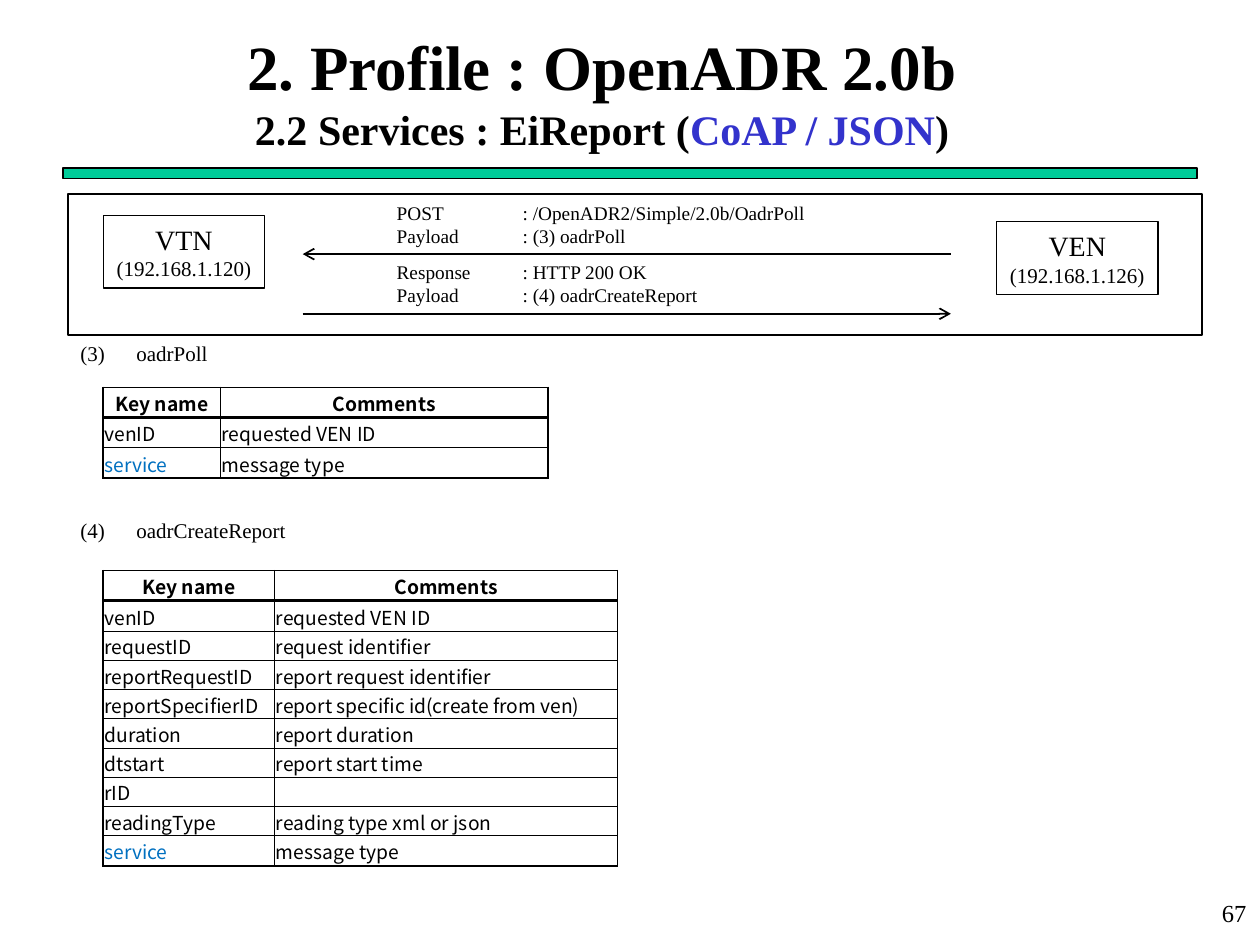
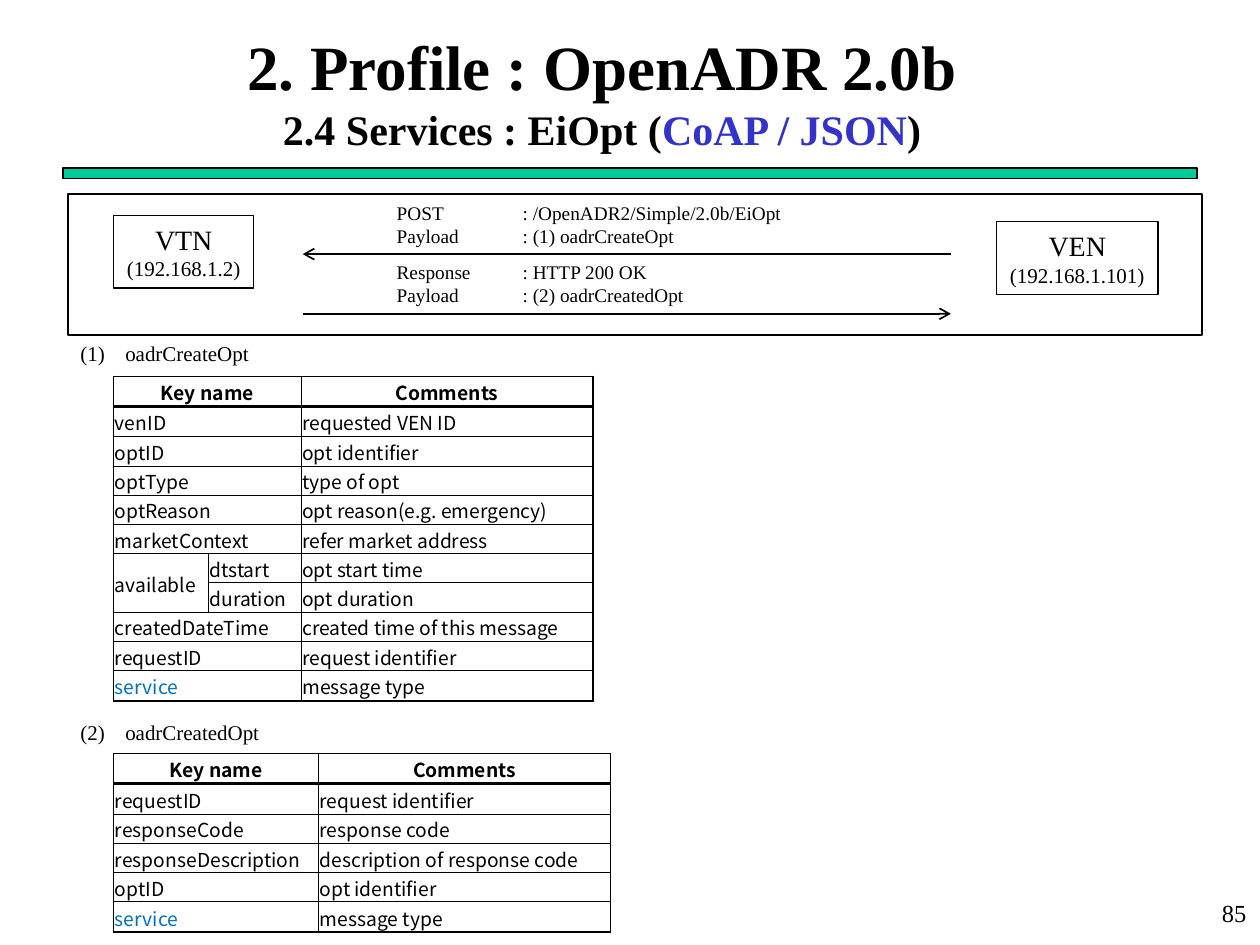
"""Build two OpenADR service slides with message flows and key tables."""
from lxml import etree
from pptx import Presentation
from pptx import util as u
from pptx.dml.color import RGBColor
from pptx.enum import shapes, text
from pptx.oxml import ns

Pt = u.Pt
BLACK = RGBColor(0x00, 0x00, 0x00)
WHITE = RGBColor(0xFF, 0xFF, 0xFF)
GREEN = RGBColor(0x00, 0xCC, 0x99)
VIOLET = RGBColor(0x33, 0x33, 0xCC)
BLUE = RGBColor(0x00, 0x70, 0xC0)
SERIF = "Times New Roman"
SANS = "Noto Sans CJK KR"
CENTER = text.PP_ALIGN.CENTER
HEADER = ("Key name", "Comments")
SERVICE = ("service", "message type")

SLIDES = [
    {
        "number": "67",
        "service": "2.2 Services : EiReport (",
        "hosts": [("VEN", "(192.168.1.126)", 569.5, 126.7, 92.2),
                  ("VTN", "(192.168.1.120)", 59, 123.1, 92.2)],
        "messages": [("POST\t: /OpenADR2/Simple/2.0b/OadrPoll",
                      "Payload\t: (3) oadrPoll"),
                     ("Response\t: HTTP 200 OK",
                      "Payload\t: (4) oadrCreateReport")],
        "headings": ("(3)\toadrPoll", "(4)\toadrCreateReport"),
        "heading_hang": 32,
        "heading_gap": 86.8,
        "heading_height": 124,
        "table_left": 59,
        "tables": [
            (221.3, (67, 187.2), [
                HEADER, ("venID", "requested VEN ID"), SERVICE]),
            (326, (98, 196), [
                HEADER,
                ("venID", "requested VEN ID"),
                ("requestID", "request identifier"),
                ("reportRequestID", "report request identifier"),
                ("reportSpecifierID", "report specific id(create from ven)"),
                ("duration", "report duration"),
                ("dtstart", "report start time"),
                ("rID", ""),
                ("readingType", "reading type xml or json"),
                SERVICE]),
        ],
    },
    {
        "number": "85",
        "service": "2.4 Services : EiOpt (",
        "hosts": [("VEN", "(192.168.1.101)", 569.5, 126.7, 92.2),
                  ("VTN", "(192.168.1.2)", 65, 123.1, 80)],
        "messages": [("POST\t: /OpenADR2/Simple/2.0b/EiOpt",
                      "Payload\t: (1) oadrCreateOpt"),
                     ("Response\t: HTTP 200 OK",
                      "Payload\t: (2) oadrCreatedOpt")],
        "headings": ("(1)\toadrCreateOpt", "(2)\toadrCreatedOpt"),
        "heading_hang": 25.6,
        "heading_gap": 202.2,
        "heading_height": 240,
        "table_left": 65,
        "tables": [
            (215, (54, 53, 167), [
                ("Key name", None, "Comments"),
                ("venID", None, "requested VEN ID"),
                ("optID", None, "opt identifier"),
                ("optType", None, "type of opt"),
                ("optReason", None, "opt reason(e.g. emergency)"),
                ("marketContext", None, "refer market address"),
                ("available", "dtstart", "opt start time"),
                (None, "duration", "opt duration"),
                ("createdDateTime", None, "created time of this message"),
                ("requestID", None, "request identifier"),
                ("service", None, "message type")]),
            (430.6, (117, 167), [
                HEADER,
                ("requestID", "request identifier"),
                ("responseCode", "response code"),
                ("responseDescription", "description of response code"),
                ("optID", "opt identifier"),
                SERVICE]),
        ],
    },
]


def write(frame, words, *, size=12, color=BLACK, font=SERIF, bold=False,
          align=None, hang=0, before=0, same_line=False):
    """Add words as a new paragraph, or as a further run of the last one."""
    para = frame.paragraphs[-1]
    if para.runs and not same_line:
        para = frame.add_paragraph()
    if not words:
        etree.SubElement(para._p, ns.qn("a:endParaRPr"), sz=str(size * 100))
        return
    if align is not None:
        para.alignment = align
    if before:
        para.space_before = Pt(before)
    if hang:
        properties = para._p.get_or_add_pPr()
        properties.set("marL", str(Pt(hang)))
        properties.set("indent", str(-Pt(hang)))
    span = para.add_run()
    span.text = words
    span.font.size = Pt(size)
    span.font.name = font
    span.font.bold = bold
    span.font.color.rgb = color


def add_box(owner, left, top, width, height, fill, line_width):
    """Add a plain outlined rectangle."""
    box = owner.add_shape(shapes.MSO_SHAPE.RECTANGLE, Pt(left), Pt(top), Pt(width), Pt(height))
    box.shadow.inherit = False
    box.fill.solid()
    box.fill.fore_color.rgb = fill
    box.line.color.rgb = BLACK
    box.line.width = Pt(line_width)
    return box


deck = Presentation()
deck.slide_width, deck.slide_height = Pt(720), Pt(540)
layout = deck.slide_layouts[5]
title = layout.placeholders[0]
title.left, title.top, title.width, title.height = Pt(2), Pt(18.7), Pt(684), Pt(66.2)

for content in SLIDES:
    page = deck.slides.add_slide(layout)
    if content is SLIDES[0]:
        band = add_box(page.shapes, 36, 96, 648, 6, GREEN, 0.75)
        layout.shapes.element.append(band.element)

    frame = page.shapes.title.text_frame
    frame.auto_size = text.MSO_AUTO_SIZE.NONE
    frame.vertical_anchor = text.MSO_ANCHOR.MIDDLE
    write(frame, "2. Profile : OpenADR 2.0b", size=36, bold=True, align=CENTER)
    write(frame, content["service"], size=24, bold=True, align=CENTER)
    write(frame, "CoAP / JSON", size=24, bold=True, color=VIOLET, same_line=True)
    write(frame, ")", size=24, bold=True, same_line=True)

    number = page.shapes.add_textbox(Pt(569.5), Pt(509.8), Pt(149.8), Pt(30))
    number.text_frame.word_wrap = True
    write(number.text_frame, content["number"], size=14, align=text.PP_ALIGN.RIGHT)

    headings = page.shapes.add_textbox(
        Pt(38.9), Pt(190.8), Pt(497.5), Pt(content["heading_height"]))
    headings.text_frame.word_wrap = True
    for heading, gap in zip(content["headings"], (0, content["heading_gap"])):
        write(headings.text_frame, heading, hang=content["heading_hang"], before=gap)

    flow = page.shapes.add_group_shape().shapes
    add_box(flow, 38.9, 110.9, 648, 80.6, WHITE, 1)
    for host, address, left, top, width in content["hosts"]:
        box = add_box(flow, left, top, width, 41.4, WHITE, 0.75)
        box.text_frame.word_wrap = False
        box.text_frame.vertical_anchor = text.MSO_ANCHOR.MIDDLE
        write(box.text_frame, host, size=16, align=CENTER)
        write(box.text_frame, address, align=CENTER)
    for start, end, y in ((543.4, 173, 145.2), (173, 543.4, 179.3)):
        arrow = flow.add_connector(shapes.MSO_CONNECTOR.STRAIGHT, Pt(start), Pt(y), Pt(end), Pt(y))
        arrow.line.color.rgb = BLACK
        arrow.line.width = Pt(1)
        etree.SubElement(arrow.line._get_or_add_ln(), ns.qn("a:tailEnd"), type="arrow")
        etree.SubElement(arrow.element.spPr, ns.qn("a:effectLst"))

    for message, top in zip(content["messages"], (111.6, 145.4)):
        box = page.shapes.add_textbox(Pt(219.6), Pt(top), Pt(260), Pt(33.8))
        box.text_frame.word_wrap = True
        for line in message:
            write(box.text_frame, line, size=11, hang=72)

    for top, widths, rows in content["tables"]:
        last_row, last_column = len(rows) - 1, len(widths) - 1
        heights = [17.3 if r in (0, 1, last_row) else 16.7 for r in range(len(rows))]
        table = page.shapes.add_table(
            len(rows), len(widths), Pt(content["table_left"]), Pt(top),
            Pt(sum(widths)), Pt(sum(heights))).table
        table.first_row = table.horz_banding = False
        for column, width in zip(table.columns, widths):
            column.width = Pt(width)
        for r, row in enumerate(rows):
            table.rows[r].height = Pt(heights[r])
            for c, words in enumerate(row):
                cell = table.cell(r, c)
                cell.margin_left = cell.margin_right = cell.margin_top = Pt(0.72)
                cell.margin_bottom = 0
                cell.vertical_anchor = text.MSO_ANCHOR.MIDDLE
                edges = {
                    "a:lnL": 1 if c == 0 else 0.5,
                    "a:lnR": 1 if c == last_column else 0.5,
                    "a:lnT": {0: 1, 1: 2}.get(r, 0.5),
                    "a:lnB": {0: 2, last_row: 1}.get(r, 0.5),
                }
                for tag, weight in edges.items():
                    edge = etree.SubElement(
                        cell._tc.get_or_add_tcPr(), ns.qn(tag), w=str(Pt(weight)))
                    paint = etree.SubElement(edge, ns.qn("a:solidFill"))
                    etree.SubElement(paint, ns.qn("a:srgbClr"), val=str(BLACK))
                cell.fill.background()
                write(cell.text_frame, words, size=11, font=SANS, bold=r == 0,
                      color=BLUE if words == "service" else BLACK,
                      align=CENTER if r == 0 else None)
        for r, row in enumerate(rows):
            if row[0] is None:
                table.cell(r - 1, 0).merge(table.cell(r, 0))
            elif row[1] is None:
                table.cell(r, 0).merge(table.cell(r, 1))

deck.save("out.pptx")
